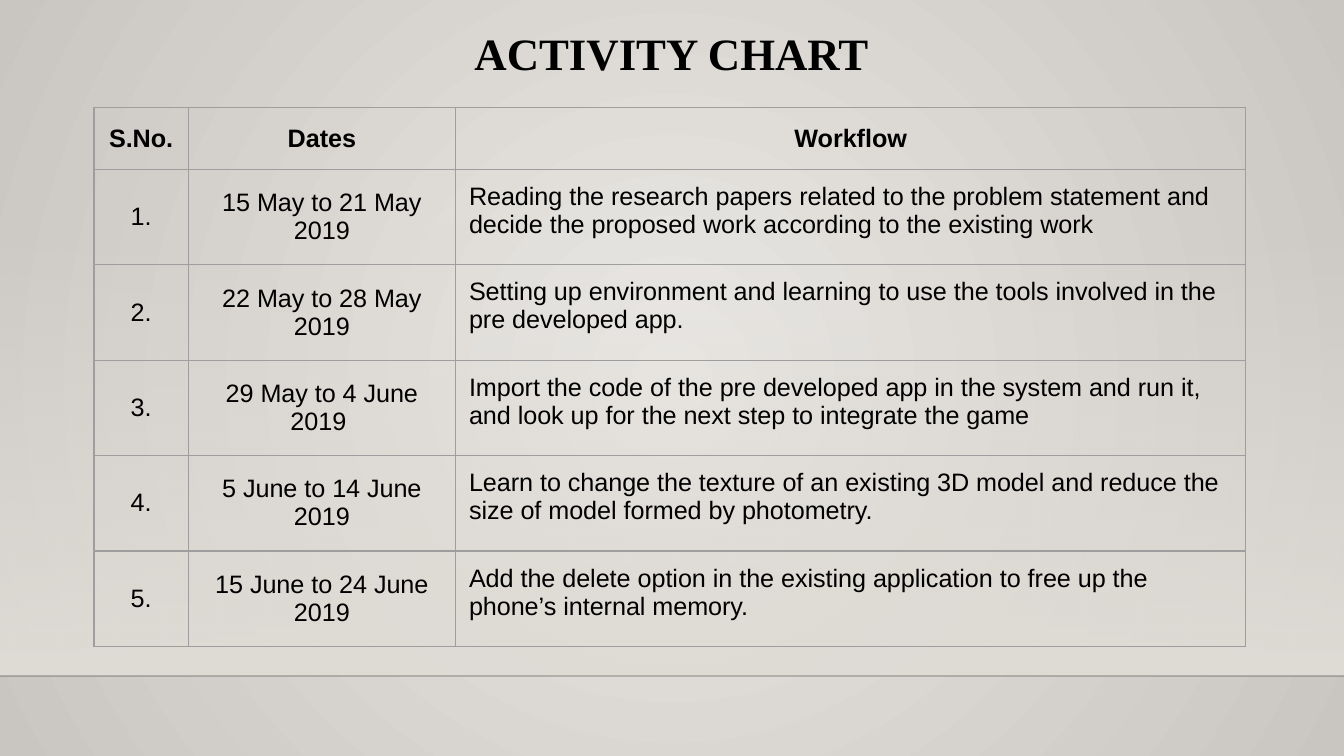
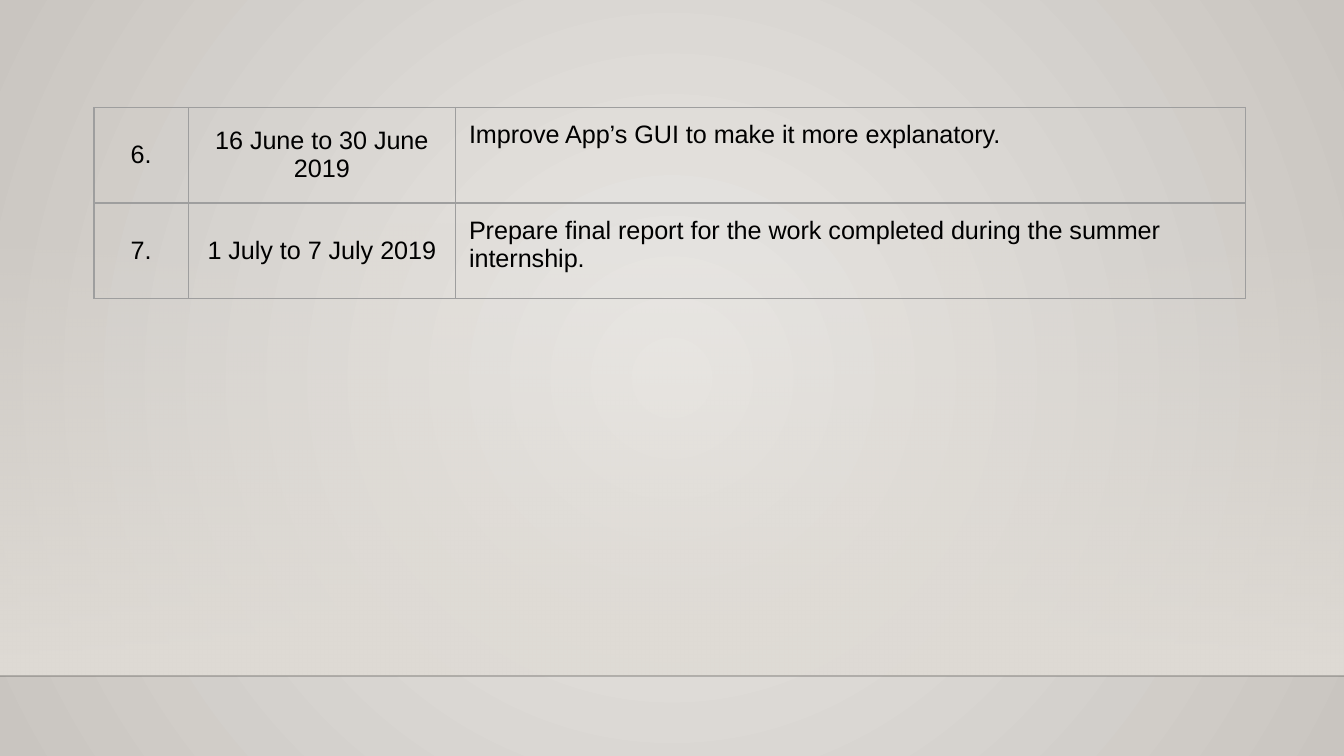
from dataclasses import dataclass

from lxml import etree
from pptx import Presentation
from pptx.dml.color import RGBColor
from pptx.enum.shapes import MSO_CONNECTOR, MSO_SHAPE
from pptx.enum.text import MSO_ANCHOR, MSO_AUTO_SIZE, PP_ALIGN
from pptx.oxml import parse_xml
from pptx.oxml.ns import nsdecls, qn
from pptx.util import Inches, Pt

RECTANGLE = MSO_SHAPE.RECTANGLE
STRAIGHT = MSO_CONNECTOR.STRAIGHT
MIDDLE, TOP = MSO_ANCHOR.MIDDLE, MSO_ANCHOR.TOP
CENTER, LEFT = PP_ALIGN.CENTER, PP_ALIGN.LEFT
NO_AUTOFIT = MSO_AUTO_SIZE.NONE


@dataclass(frozen=True)
class Theme:
    black: str = "000000"
    glow: str = "EBE9E6"
    edge: str = "C9C5C0"
    wall: str = "DFDBD5"
    border: str = "9E9E9E"
    title_font: str = "Times New Roman"
    table_font: str = "Arial"
    title_size: float = 24
    table_size: float = 13.5
    border_width: float = 0.75
    floor_width: float = 1


THEME = Theme()
SLIDE_WIDTH = 10
SLIDE_HEIGHT = SLIDE_WIDTH * 9 / 16
WALL_TOP, FLOOR_TOP = 1.66, 5.03
TABLE_LEFT, TABLE_TOP = 0.7, 0.8
COLUMN_WIDTHS = (0.7, 1.99, 5.88)
HEADER_HEIGHT, ROW_HEIGHT = 0.46, 0.71
MARGIN = 0.1
TITLE_LAYOUT, BLANK_LAYOUT = 5, 6

HEADER = ("S.No.", "Dates", "Workflow")
FIRST_ACTIVITIES = [
    ("1.", "15 May to 21 May 2019",
     "Reading the research papers related to the problem statement and "
     "decide the proposed work according to the existing work"),
    ("2.", "22 May to 28 May 2019",
     "Setting up environment and learning to use the tools involved in the "
     "pre developed app."),
    ("3.", "29 May to 4 June 2019 ",
     "Import the code of the pre developed app in the system and run it, "
     "and look up for the next step to integrate the game"),
    ("4.", "5 June to 14 June 2019",
     "Learn to change the texture of an existing 3D model and reduce the "
     "size of model formed by photometry."),
    ("5.", "15 June to 24 June 2019",
     "Add the delete option in the existing application to free up the "
     "phone’s internal memory."),
]
LAST_ACTIVITIES = [
    ("6.", "16 June to 30 June 2019",
     "Improve App’s GUI to make it more explanatory."),
    ("7.", "1 July to 7 July 2019",
     "Prepare final report for the work completed during the summer "
     "internship."),
]


def set_gradient(fill, owner, start, end, direction, start_alpha=100):
    fill.gradient()
    default = owner.find(f".//{qn('a:gradFill')}")
    gradient = parse_xml(
        f'<a:gradFill {nsdecls("a")} rotWithShape="1"><a:gsLst>'
        f'<a:gs pos="0"><a:srgbClr val="{start}">'
        f'<a:alpha val="{start_alpha * 1000}"/></a:srgbClr></a:gs>'
        f'<a:gs pos="100000"><a:srgbClr val="{end}"/></a:gs>'
        f'</a:gsLst>{direction}</a:gradFill>')
    default.getparent().replace(default, gradient)


def set_background(master):
    circle = ('<a:path path="circle"><a:fillToRect l="50000" t="50000" '
              'r="50000" b="50000"/></a:path>')
    set_gradient(master.background.fill, master.element,
                 THEME.glow, THEME.edge, circle)


def add_wall(page):
    wall = page.shapes.add_shape(
        RECTANGLE, Inches(0), Inches(WALL_TOP),
        Inches(SLIDE_WIDTH), Inches(FLOOR_TOP - WALL_TOP))
    wall.shadow.inherit = False
    wall.line.fill.background()
    set_gradient(wall.fill, wall.element, THEME.wall, THEME.wall,
                 '<a:lin ang="5400000" scaled="0"/>', start_alpha=0)


def add_floor_line(page):
    line = page.shapes.add_connector(
        STRAIGHT, Inches(0), Inches(FLOOR_TOP),
        Inches(SLIDE_WIDTH), Inches(FLOOR_TOP))
    line.line.width = Pt(THEME.floor_width)
    line.line.color.rgb = RGBColor.from_string(THEME.black)
    properties = line.element.spPr
    color = properties.find(f".//{qn('a:srgbClr')}")
    etree.SubElement(color, qn("a:alpha"), val="20000")
    etree.SubElement(properties, qn("a:effectLst"))


def add_page(deck, layout):
    page = deck.slides.add_slide(deck.slide_layouts[layout])
    add_wall(page)
    add_floor_line(page)
    return page


def set_margins(box):
    box.margin_left = box.margin_right = Inches(MARGIN)
    box.margin_top = box.margin_bottom = Inches(MARGIN)


def add_text(para, text, align, font, size, bold):
    para.alignment = align
    span = para.add_run()
    span.text = text
    span.font.name = font
    span.font.size = Pt(size)
    span.font.bold = bold
    span.font.color.rgb = RGBColor.from_string(THEME.black)


def set_title(page, text):
    title = page.shapes.title
    title.left, title.top = Inches(1.8), Inches(0.1)
    title.width, title.height = Inches(6.39), Inches(0.58)
    box = title.text_frame
    box.auto_size = NO_AUTOFIT
    box.vertical_anchor = MIDDLE
    set_margins(box)
    add_text(box.paragraphs[0], text, CENTER,
             THEME.title_font, THEME.title_size, True)


def set_borders(cell):
    properties = cell._tc.get_or_add_tcPr()
    for side in ("lnL", "lnR", "lnT", "lnB"):
        properties.append(parse_xml(
            f'<a:{side} {nsdecls("a")} w="{Pt(THEME.border_width)}">'
            f'<a:solidFill><a:srgbClr val="{THEME.border}"/></a:solidFill>'
            f'<a:prstDash val="solid"/></a:{side}>'))


def fill_cell(cell, text, centered, bold):
    set_borders(cell)
    cell.fill.background()
    set_margins(cell)
    cell.vertical_anchor = MIDDLE if centered else TOP
    add_text(cell.text_frame.paragraphs[0], text,
             CENTER if centered else LEFT,
             THEME.table_font, THEME.table_size, bold)


def add_activity_table(page, activities, header=None):
    rows = [header, *activities] if header else activities
    heights = [ROW_HEIGHT] * len(rows)
    if header:
        heights[0] = HEADER_HEIGHT
    table = page.shapes.add_table(
        len(rows), len(COLUMN_WIDTHS), Inches(TABLE_LEFT), Inches(TABLE_TOP),
        Inches(sum(COLUMN_WIDTHS)), Inches(sum(heights))).table
    table.first_row = table.horz_banding = False
    for column, width in zip(table.columns, COLUMN_WIDTHS):
        column.width = Inches(width)
    for row, height, texts in zip(table.rows, heights, rows):
        row.height = Inches(height)
        is_header = texts is header
        for index, (cell, text) in enumerate(zip(row.cells, texts)):
            fill_cell(cell, text, is_header or index < 2, is_header)


def main():
    deck = Presentation()
    deck.slide_width = Inches(SLIDE_WIDTH)
    deck.slide_height = Inches(SLIDE_HEIGHT)
    set_background(deck.slide_master)

    page = add_page(deck, TITLE_LAYOUT)
    set_title(page, "ACTIVITY CHART")
    add_activity_table(page, FIRST_ACTIVITIES, HEADER)

    page = add_page(deck, BLANK_LAYOUT)
    add_activity_table(page, LAST_ACTIVITIES)

    deck.save("out.pptx")


if __name__ == "__main__":
    main()
